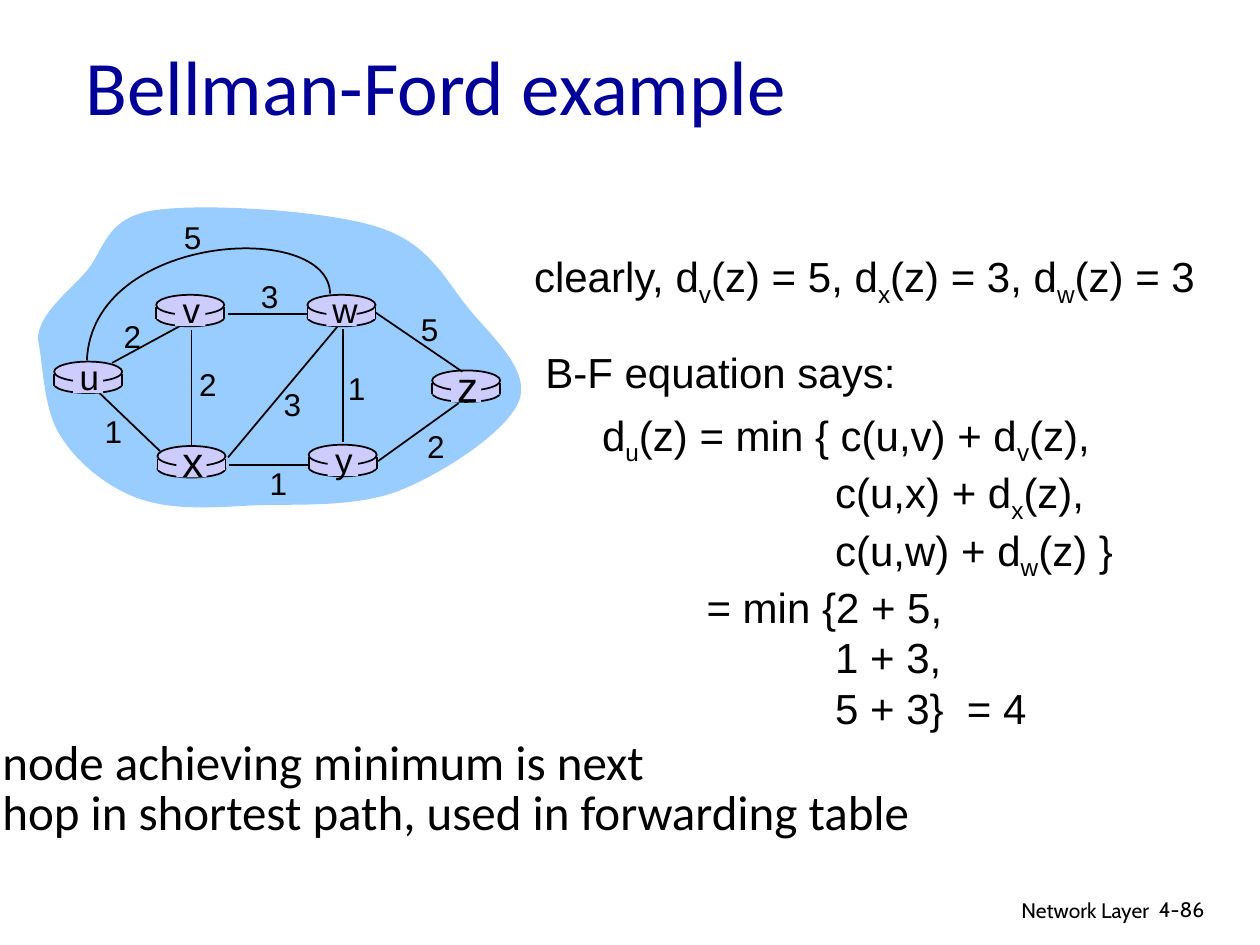
from dataclasses import dataclass
from lxml.etree import SubElement
from pptx import Presentation
from pptx.dml.color import RGBColor as RGB
from pptx.enum.shapes import MSO_CONNECTOR as Conn, MSO_SHAPE as Kind
from pptx.enum.text import MSO_ANCHOR as Anchor, PP_ALIGN as Align
from pptx.oxml.ns import qn
from pptx.util import Inches, Pt


@dataclass(frozen=True)
class Theme:
    ink: RGB = RGB(0, 0, 0)
    title: RGB = RGB(0, 0, 0x99)
    cloud: RGB = RGB(0x99, 0xCC, 0xFF)
    node: RGB = RGB(0xCC, 0xCC, 0xFF)
    head: Pt = Pt(44)
    note: Pt = Pt(28)
    body: Pt = Pt(24)
    name: Pt = Pt(20)
    cost: Pt = Pt(18)
    foot: Pt = Pt(12)
    line: Pt = Pt(1)


theme = Theme()
deck = Presentation()
deck.slide_width, deck.slide_height = Inches(10), Inches(7.5)
slide = deck.slides.add_slide(deck.slide_layouts[5])
shapes = slide.shapes


def write(box, lines, size, face="Arial", align=Align.LEFT, wrap=True, space=1):
    """Each line is (indent, text); pieces between underscores are subscripts."""
    frame = shapes.add_textbox(*map(Inches, box)).text_frame
    frame.word_wrap = wrap
    for i, (indent, text) in enumerate(lines):
        para = frame.add_paragraph() if i else frame.paragraphs[0]
        para.alignment, para.line_spacing = align, space
        if indent:
            para._p.get_or_add_pPr().set("marL", str(Inches(indent)))
        for k, part in enumerate(text.split("_")):
            run = para.add_run()
            run.text = part
            if k % 2:
                run._r.get_or_add_rPr().set("baseline", "-25000")
        para.font.size, para.font.name = size, face
        para.font.color.rgb = theme.ink


def join(x1, y1, x2, y2):
    edge = shapes.add_connector(Conn.STRAIGHT, *map(Inches, (x1, y1, x2, y2)))
    edge.line.color.rgb, edge.line.width = theme.ink, theme.line
    SubElement(edge._element.spPr, qn("a:effectLst"))


# Title
title = shapes.title
title.left, title.top, title.width, title.height = map(Inches, (0.58, 0.19, 8.5, 0.96))
title.text_frame.text = "Bellman-Ford example"
title.text_frame.vertical_anchor = Anchor.MIDDLE
para = title.text_frame.paragraphs[0]
para.alignment = Align.LEFT
para.font.size, para.font.name = theme.head, "Calibri"
para.font.color.rgb = theme.title

# Curved outlines: a start point, then three control points for each curve
cloud = [(0.3, 2.69), (0.31, 2.49), (0.53, 2.33), (0.68, 2.16),
         (0.83, 1.99), (0.83, 1.73), (1.22, 1.67), (1.61, 1.61), (2.58, 1.67), (2.99, 1.8),
         (3.41, 1.93), (3.53, 2.22), (3.72, 2.45), (3.91, 2.68), (4.21, 2.94), (4.12, 3.18),
         (4.03, 3.42), (3.53, 3.75), (3.18, 3.89), (2.83, 4.03), (2.37, 4), (2.03, 4.01),
         (1.68, 4.03), (1.37, 4.05), (1.11, 3.96), (0.85, 3.87), (0.61, 3.67), (0.48, 3.46),
         (0.34, 3.25), (0.34, 2.85), (0.3, 2.69)]
arc = [(2.62, 2.33), (2.61, 1.74), (0.73, 1.85), (0.69, 2.86)]
for points, closed in ((cloud, True), (arc, False)):
    first, *rest = [(Inches(x), Inches(y)) for x, y in points]
    pen = shapes.build_freeform(*first)
    pen.add_line_segments(rest, close=closed)
    curve = pen.convert_to_shape()
    curve.shadow.inherit = False
    steps = list(curve._element.iter(qn("a:lnTo")))
    for i in range(0, len(steps), 3):
        bend = steps[i].makeelement(qn("a:cubicBezTo"))
        steps[i].addprevious(bend)
        for step in steps[i:i + 3]:
            bend.append(step[0])
            step.getparent().remove(step)
    if closed:
        curve.fill.solid()
        curve.fill.fore_color.rgb = theme.cloud
        curve.line.fill.background()
    else:
        curve.fill.background()
        curve.line.color.rgb, curve.line.width = theme.ink, theme.line

# Routers: left, top and label size
join(0.89, 2.88, 1.48, 2.56)
nodes = {"u": (0.43, 2.87, theme.name), "x": (1.25, 3.54, theme.body),
         "v": (1.24, 2.34, theme.name), "w": (2.44, 2.34, theme.name),
         "y": (2.45, 3.53, theme.name), "z": (3.43, 2.94, theme.body)}
base = (Kind.OVAL, 0, 0.11, 0.54, 0.14)
side = (Kind.RECTANGLE, 0, 0.1, 0.54, 0.09)
lid = (Kind.OVAL, 0, 0, 0.54, 0.16)
plate = (Kind.RECTANGLE, 0.15, 0.02, 0.24, 0.23)


def draw(part, left, top):
    kind, dx, dy, wide, high = part
    shape = shapes.add_shape(kind, *map(Inches, (left + dx, top + dy, wide, high)))
    shape.shadow.inherit = False
    shape.fill.solid()
    shape.fill.fore_color.rgb = theme.node
    if kind == Kind.OVAL:
        shape.line.color.rgb, shape.line.width = theme.ink, theme.line
    else:
        shape.line.fill.background()


for left, top, _ in nodes.values():
    draw(base, left, top)
    draw(side, left, top)
    for x in (left, left + 0.54):
        join(x, top + 0.1, x, top + 0.19)
    draw(lid, left, top)

# Links
for ends in ((2.72, 2.61, 2.72, 3.51), (1.52, 2.62, 1.52, 3.55), (1.81, 3.63, 2.68, 2.59),
             (3, 3.66, 3.64, 3.2), (2.45, 3.69, 1.82, 3.69), (1.27, 3.58, 0.79, 3.12),
             (2.44, 2.49, 1.81, 2.49), (3.67, 2.95, 2.98, 2.48)):
    join(*ends)

# Router names
for name, (left, top, size) in nodes.items():
    draw(plate, left, top)
    high = 0.5 if size == theme.body else 0.44
    write((left + 0.1, top + 0.12 - high / 2, 0.36, high), [(0, name)], size,
          align=Align.CENTER, wrap=False)

# Link costs
for x, y, cost in ((0.88, 2.47, 2), (1.48, 2.85, 2), (0.73, 3.22, 1), (2.15, 3.01, 3),
                   (2.04, 3.63, 1), (2.66, 2.88, 1), (3.29, 3.34, 2), (3.24, 2.41, 5),
                   (1.97, 2.15, 3), (1.36, 1.68, 5)):
    write((x, y, 0.34, 0.4), [(0, str(cost))], theme.cost, align=Align.CENTER, wrap=False)

# Equations
write((4.14, 1.94, 5.6, 0.56), [(0, "clearly, d_v_(z) = 5, d_x_(z) = 3, d_w_(z) = 3")],
      theme.body)
write((4.23, 2.7, 2.98, 0.5), [(0, "B-F equation says:")], theme.body)
term, equal = 1.85, 0.83
write((4.68, 3.2, 4.5, 2.67),
      [(0, "d_u_(z) = min { c(u,v) + d_v_(z),"), (term, "c(u,x) + d_x_(z),"),
       (term, "c(u,w) + d_w_(z) }"), (equal, "= min {2 + 5,"), (term, "1 + 3,"),
       (term, "5 + 3}  = 4")], theme.body)

# Conclusion
write((-0.08, 5.83, 8.58, 0.9),
      [(0, "node achieving minimum is next"),
       (0, "hop in shortest path, used in forwarding table")],
      theme.note, "Calibri", space=0.85)

# Footer
write((6.05, 7.07, 3.17, 0.31), [(0, "Network Layer")], theme.foot, "Cabin", Align.RIGHT)
write((9.1, 7.07, 0.74, 0.3), [(0, "4-86")], theme.foot, "Cabin")

deck.save("out.pptx")
